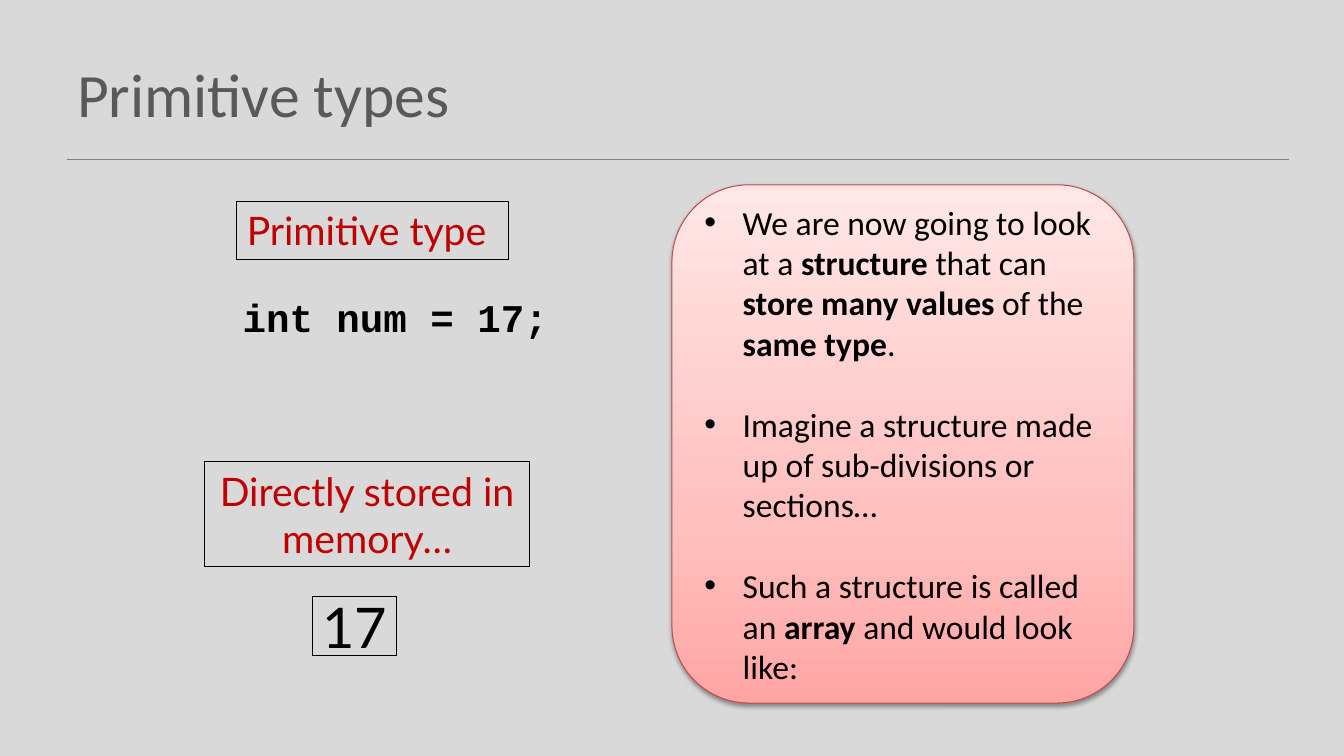
from lxml import etree
from pptx import Presentation
from pptx.dml.color import RGBColor
from pptx.enum.shapes import MSO_CONNECTOR, MSO_SHAPE
from pptx.enum.text import MSO_ANCHOR, PP_ALIGN
from pptx.oxml.ns import qn
from pptx.util import Inches, Pt

RECT, ROUND = MSO_SHAPE.RECTANGLE, MSO_SHAPE.ROUNDED_RECTANGLE
STRAIGHT = MSO_CONNECTOR.STRAIGHT
TOP, MIDDLE = MSO_ANCHOR.TOP, MSO_ANCHOR.MIDDLE
LEFT, CENTER = PP_ALIGN.LEFT, PP_ALIGN.CENTER

COLS, ROWS = 160, 90
CELL = Inches(1) / 12
COLORS = {
    "back": "D9D9D9", "rule": "808080", "title": "595959",
    "black": "000000", "red": "C00000", "edge": "BF4C48",
}
SHADES = [(0, "FFA6A5"), (35, "FFC0BF"), (100, "FFE7E7")]

# Each point is a list of (text, bold) runs.
POINTS = [
    [("We are now going to look at a ", False), ("structure", True),
     (" that can ", False), ("store many values ", True),
     ("of the ", False), ("same type", True), (".", False)],
    [("Imagine a structure made up of sub-divisions or sections…", False)],
    [("Such a structure is called an ", False), ("array", True),
     (" and would look like:", False)],
]


def cells(*counts):
    return [round(count * CELL) for count in counts]


def color(name):
    return RGBColor.from_string(COLORS[name])


def node(parent, tag, **attrs):
    return etree.SubElement(parent, qn(tag), {k: str(v) for k, v in attrs.items()})


def bullet(para):
    props = para._p.get_or_add_pPr()
    props.set("marL", str(Inches(0.38)))
    props.set("indent", str(-Inches(0.38)))
    node(props, "a:buFont", typeface="Arial")
    node(props, "a:buChar", char="•")


def write(shape, paras, size, font="Lato", ink="black", align=LEFT,
          anchor=TOP, wrap=True, bullets=False, gap=0):
    """Fill a shape with paragraphs, each a list of (text, bold) runs."""
    frame = shape.text_frame
    frame.word_wrap, frame.vertical_anchor = wrap, anchor
    for i, runs in enumerate(paras):
        para = frame.add_paragraph() if i else frame.paragraphs[0]
        para.alignment = align
        if i and gap:
            para.space_before = Pt(gap)
        if bullets:
            bullet(para)
        for text, bold in runs:
            run = para.add_run()
            run.text = text
            run.font.name, run.font.size, run.font.bold = font, Pt(size), bold
            run.font.color.rgb = color(ink)


def label(slide, place, text, size, bold=False, **style):
    box = slide.shapes.add_textbox(*cells(*place))
    write(box, [[(text, bold)]], size, **style)


def frame(slide, kind, place, edge="black"):
    shape = slide.shapes.add_shape(kind, *cells(*place))
    shape.shadow.inherit = False
    shape.fill.background()
    shape.line.color.rgb = color(edge)
    shape.line.width = Pt(0.75)
    return shape


def boxed(slide, place, text, size, **style):
    write(frame(slide, RECT, place), [[(text, False)]], size, **style)


def shade(shape):
    """Fade the fill upwards through SHADES."""
    shape.fill.gradient()
    shape.fill.gradient_angle = 90
    stops = shape._element.spPr.find(".//" + qn("a:gsLst"))
    for old in list(stops):
        stops.remove(old)
    for share, tint in SHADES:
        stop = node(stops, "a:gs", pos=share * 1000)
        node(stop, "a:srgbClr", val=tint)


def shadow(shape):
    effects = shape._element.spPr.find(qn("a:effectLst"))
    cast = node(effects, "a:outerShdw", blurRad=Pt(3.1), dist=Pt(1.6),
                dir=5400000, rotWithShape=0)
    node(node(cast, "a:srgbClr", val=COLORS["black"]), "a:alpha", val=38000)


def panel(slide, place, points):
    shape = frame(slide, ROUND, place, edge="edge")
    shade(shape)
    shadow(shape)
    write(shape, points, 24, font="Calibri", anchor=MIDDLE, bullets=True, gap=29)


def rule(slide, left, right, row):
    line = slide.shapes.add_connector(STRAIGHT, *cells(left, row, right, row))
    line.line.color.rgb = color("rule")
    line.line.width = Pt(1)
    node(line._element.spPr, "a:effectLst")


def main():
    deck = Presentation()
    deck.slide_width, deck.slide_height = cells(COLS, ROWS)
    slide = deck.slides.add_slide(deck.slide_layouts[6])
    slide.background.fill.solid()
    slide.background.fill.fore_color.rgb = color("back")

    rule(slide, 8, 153.4, 19)
    label(slide, (8, 3.6, 144, 15), "Primitive types", 44,
          font="Calibri", ink="title", anchor=MIDDLE)
    boxed(slide, (37.2, 71, 10, 7), "17", 40,
          align=CENTER, anchor=MIDDLE, wrap=False)
    boxed(slide, (28.2, 24, 32.4, 6.9), "Primitive type", 28, ink="red")
    label(slide, (27.7, 34.3, 39.2, 6.9), "int num = 17;", 28,
          bold=True, font="Courier New")
    boxed(slide, (24.4, 55, 38.6, 12.5), "Directly stored in memory…", 28,
          ink="red", align=CENTER)
    panel(slide, (80, 22, 55, 61.7), POINTS)
    deck.save("out.pptx")


if __name__ == "__main__":
    main()
